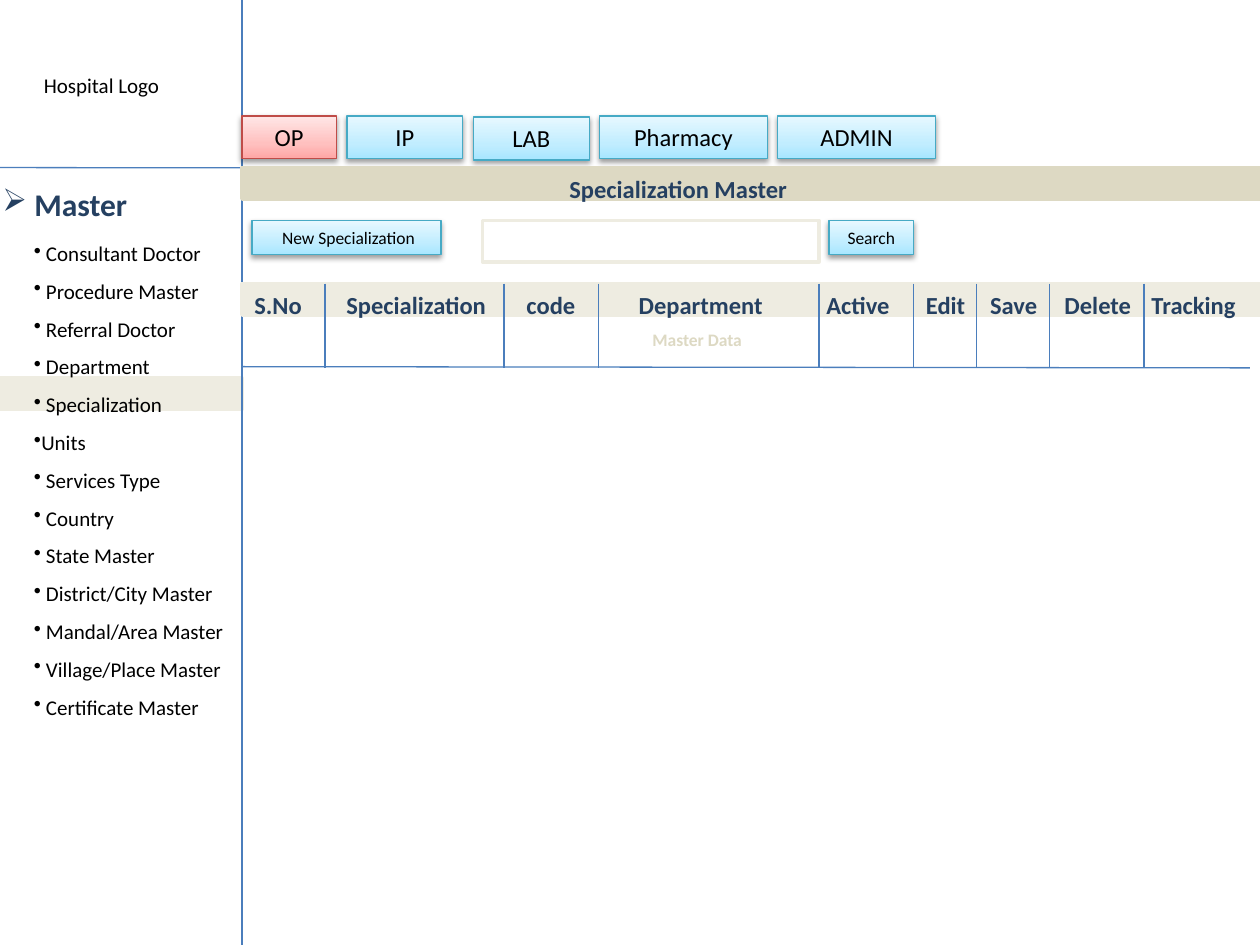
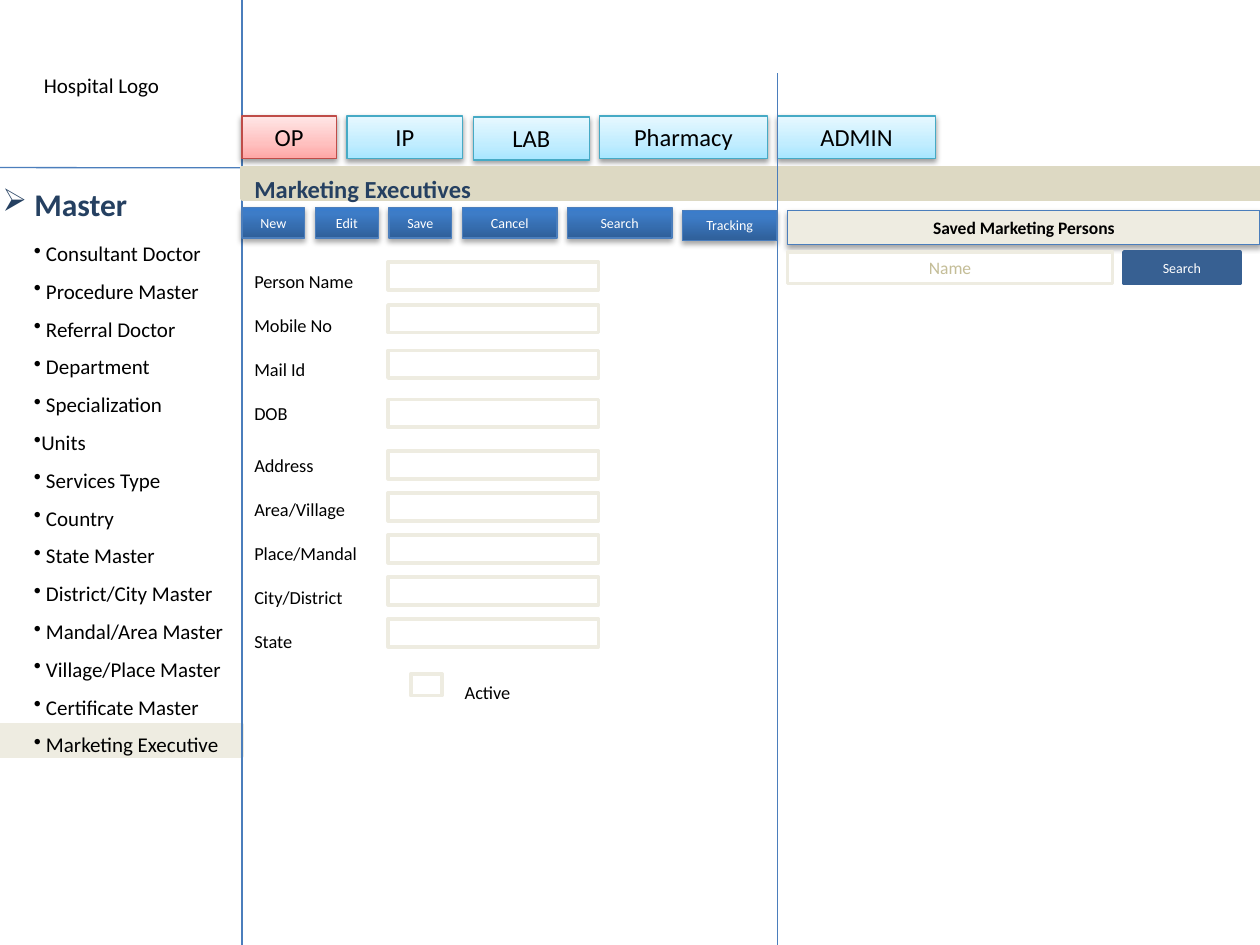
"""Build two hospital master-data screens that share a sidebar and tab bar."""
import lxml.etree
import pptx
import pptx.dml.color
import pptx.enum.shapes
import pptx.enum.text
import pptx.oxml.ns
import pptx.util

Inches = pptx.util.Inches
qn = pptx.oxml.ns.qn

FONT = "Calibri"
BLACK, WHITE, NAVY = "000000", "FFFFFF", "254061"
SAND, CREAM, KHAKI = "DDD9C3", "EEECE1", "C4BD97"
BLUE, DEEP_BLUE = "4B7EBC", "376092"
SIDEBAR = 1.92
GAP = 1 / 12
RED_STYLE = {"stops": ((0, "FFA6A5"), (35, "FFC0BF"), (100, "FFE7E7")),
             "line": "BF4C48", "color": BLACK}
AQUA_STYLE = {"stops": ((0, "A7E6FF"), (35, "C1EDFF"), (100, "E7F8FF")),
              "line": "46AAC5", "color": BLACK}
BLUE_STYLE = {"stops": ((0, "2F5F99"), (80, "3D7CC7"), (100, "3A7CCB")),
              "line": BLUE, "color": WHITE, "opacity": 35, "distance": 1.8}
MENU = [" Consultant Doctor", " Procedure Master", " Referral Doctor", " Department",
        " Specialization", "Units", " Services Type", " Country", " State Master",
        " District/City Master", " Mandal/Area Master", " Village/Place Master",
        " Certificate Master"]
TABS = [("OP", 0.75, 0.92, RED_STYLE), ("IP", 0.92, 0.92, AQUA_STYLE),
        ("LAB", 0.92, 0.93, AQUA_STYLE), ("Pharmacy", 1.33, 0.92, AQUA_STYLE),
        ("ADMIN", 1.25, 0.92, AQUA_STYLE)]
TOOLS = [("New", 0.5, 1.65, BLUE_STYLE), ("Edit", 0.5, 1.65, BLUE_STYLE),
         ("Save", 0.5, 1.65, BLUE_STYLE), ("Cancel", 0.75, 1.65, BLUE_STYLE),
         ("Search", 0.83, 1.65, BLUE_STYLE), ("Tracking", 0.75, 1.67, BLUE_STYLE)]
HEADINGS = [("S.No", 1.92, 0.58), ("Specialization", 2.65, 1.32), ("code", 4.08, 0.59),
            ("Department", 4.97, 1.19), ("Active", 6.46, 0.71), ("Edit", 7.25, 0.52),
            ("Save", 7.76, 0.58), ("Delete", 8.35, 0.73), ("Tracking", 9.04, 0.87)]
COLUMN_EDGES = [2.58, 4, 4.75, 6.5, 7.25, 7.75, 8.33, 9.08]
PERSON_LABELS = ["Person Name", "Mobile No", "Mail Id", "DOB"]
ADDRESS_LABELS = ["Address", "Area/Village", "Place/Mandal", "City/District", "State"]


def rgb(value):
    """Turn a hex string into a colour."""
    return pptx.dml.color.RGBColor.from_string(value)


def write_text(shape, text, size=14, color=BLACK, bold=False, align="LEFT", anchor="TOP",
               wrap=True, grow=True, spacing=None, bullet=None):
    """Fill a shape with one paragraph per line of text."""
    frame = shape.text_frame
    frame.word_wrap = wrap
    frame.vertical_anchor = getattr(pptx.enum.text.MSO_ANCHOR, anchor)
    if grow:
        frame.auto_size = pptx.enum.text.MSO_AUTO_SIZE.SHAPE_TO_FIT_TEXT
    for number, line in enumerate(text.split("\n")):
        paragraph = frame.add_paragraph() if number else frame.paragraphs[0]
        paragraph.alignment = getattr(pptx.enum.text.PP_ALIGN, align)
        if spacing:
            paragraph.line_spacing = spacing
        if bullet:
            properties = paragraph._p.get_or_add_pPr()
            lxml.etree.SubElement(properties, qn("a:buChar"), char=bullet)
        run = paragraph.add_run()
        run.text = line
        run.font.name = FONT
        run.font.size = pptx.util.Pt(size)
        run.font.bold = bold
        run.font.color.rgb = rgb(color)


def add_label(slide, left, top, width, height, text, **text_format):
    """Add an unwrapped text box."""
    box = slide.shapes.add_textbox(Inches(left), Inches(top), Inches(width), Inches(height))
    write_text(box, text, wrap=False, **text_format)


def add_box(slide, left, top, width, height, fill=WHITE, line=CREAM, weight=2):
    """Add a flat rectangle and return it."""
    box = slide.shapes.add_shape(pptx.enum.shapes.MSO_SHAPE.RECTANGLE,
                                 Inches(left), Inches(top), Inches(width), Inches(height))
    box.fill.solid()
    box.fill.fore_color.rgb = rgb(fill)
    box.line.color.rgb = rgb(line)
    box.line.width = pptx.util.Pt(weight)
    box.shadow.inherit = False
    return box


def add_shadow(shape, opacity, distance):
    """Give a shape a soft shadow falling downwards."""
    effects = shape._element.spPr.find(qn("a:effectLst"))
    shadow = lxml.etree.SubElement(
        effects, qn("a:outerShdw"), blurRad=str(pptx.util.Pt(3.1)),
        dist=str(pptx.util.Pt(distance)), dir="5400000", rotWithShape="0")
    color = lxml.etree.SubElement(shadow, qn("a:srgbClr"), val=BLACK)
    lxml.etree.SubElement(color, qn("a:alpha"), val=str(opacity * 1000))


def add_button(slide, left, top, width, height, text, size, stops, line, color,
               opacity=38, distance=1.6):
    """Add a gradient button with a shadow and a centred caption."""
    button = add_box(slide, left, top, width, height, line=line, weight=0.75)
    button.fill.gradient()
    button.fill.gradient_angle = 90
    stop_list = button._element.spPr.find(f".//{qn('a:gsLst')}")
    for stop in list(stop_list):
        stop_list.remove(stop)
    for position, value in stops:
        stop = lxml.etree.SubElement(stop_list, qn("a:gs"), pos=str(position * 1000))
        lxml.etree.SubElement(stop, qn("a:srgbClr"), val=value)
    add_shadow(button, opacity, distance)
    write_text(button, text, size=size, color=color, align="CENTER")


def add_button_row(slide, buttons, height, size):
    """Add equally spaced buttons from the sidebar's edge rightwards."""
    left = SIDEBAR
    for text, width, top, style in buttons:
        add_button(slide, left, top, width, height, text, size, **style)
        left += width + GAP


def add_line(slide, x1, y1, x2, y2):
    """Add a thin blue rule."""
    rule = slide.shapes.add_connector(pptx.enum.shapes.MSO_CONNECTOR.STRAIGHT,
                                      Inches(x1), Inches(y1), Inches(x2), Inches(y2))
    rule.line.color.rgb = rgb(BLUE)
    rule.line.width = pptx.util.Pt(0.75)
    lxml.etree.SubElement(rule._element.spPr, qn("a:effectLst"))


def add_screen(presentation, title, title_left, title_width, menu, selected_top):
    """Add a slide with the sidebar, tabs and title band and return it."""
    slide = presentation.slides.add_slide(presentation.slide_layouts[6])
    add_box(slide, 0, selected_top, SIDEBAR, 0.25, fill=CREAM)
    add_line(slide, 0, 1.33, 10, 1.34)
    add_line(slide, SIDEBAR, 0, SIDEBAR, 7.5)
    add_label(slide, 0.25, 0.53, 1.13, 0.3, "Hospital Logo", size=12)
    add_button_row(slide, TABS, 0.34, 14)
    add_label(slide, -0.08, 1.42, 1.2, 0.4, " Master", size=18, color=NAVY, bold=True,
              bullet="➢")
    add_label(slide, 0.17, 1.76, 1.72, 0.14 + 0.3 * len(menu), "\n".join(menu), size=12,
              spacing=1.5, bullet="•")
    add_box(slide, SIDEBAR, 1.33, 8.08, 0.25, fill=SAND, line=SAND)
    add_label(slide, title_left, 1.33, title_width, 0.34, title, color=NAVY, bold=True)
    return slide


def add_specialization_screen(presentation):
    """Add the list screen for specializations."""
    slide = add_screen(presentation, "Specialization Master", 4.42, 1.95, MENU, 3)
    add_box(slide, 3.83, 1.75, 2.67, 0.33)
    add_button(slide, 6.58, 1.75, 0.67, 0.27, "Search", 10, **AQUA_STYLE)
    add_button(slide, 2, 1.75, 1.5, 0.27, " New Specialization", 10, **AQUA_STYLE)
    add_box(slide, SIDEBAR, 2.25, 8.08, 0.25, fill=CREAM)
    for heading, left, width in HEADINGS:
        add_label(slide, left, 2.25, width, 0.34, heading, color=NAVY, bold=True)
    add_line(slide, SIDEBAR, 2.91, 9.92, 2.92)
    for edge in COLUMN_EDGES:
        add_line(slide, edge, 2.25, edge, 2.92)
    add_label(slide, 5.08, 2.56, 0.92, 0.27, "Master Data", size=10, color=SAND, bold=True)


def add_marketing_screen(presentation):
    """Add the entry form for marketing executives."""
    slide = add_screen(presentation, "Marketing Executives", SIDEBAR, 1.94,
                       MENU + [" Marketing Executive"], 5.75)
    add_button_row(slide, TOOLS, 0.24, 8)
    add_line(slide, 6.17, 0.58, 6.17, 7.5)

    saved_header = add_box(slide, 6.25, 1.67, 3.75, 0.27, fill=CREAM, line=BLUE, weight=0.75)
    add_shadow(saved_header, 35, 1.8)
    write_text(saved_header, "Saved Marketing Persons", size=10, bold=True, align="CENTER")
    name_field = add_box(slide, 6.25, 2, 2.58, 0.25)
    write_text(name_field, "Name", size=10, color=KHAKI, align="CENTER", anchor="MIDDLE",
               grow=False)
    search = add_box(slide, 8.92, 2, 0.92, 0.25, fill=DEEP_BLUE, line=DEEP_BLUE)
    write_text(search, "Search", size=8, color=WHITE, align="CENTER", anchor="MIDDLE",
               grow=False)

    address_tops = [3.58 + row / 3 for row in range(len(ADDRESS_LABELS))]
    for top in [2.08, 2.42, 2.78, 3.17] + address_tops:
        add_box(slide, 3.08, top, 1.67, 0.22)
    add_box(slide, 3.26, 5.35, 0.25, 0.17)
    for left, top, width, height, labels in [
            (SIDEBAR, 1.92, 1, 1.51, PERSON_LABELS),
            (SIDEBAR, 3.38, 1.03, 1.87, ADDRESS_LABELS),
            (3.59, 5.18, 0.57, 0.4, ["Active"])]:
        add_label(slide, left, top, width, height, "\n".join(labels), size=10.5, spacing=2.0)


def main():
    """Build and save the presentation."""
    presentation = pptx.Presentation()
    presentation.slide_width = Inches(10)
    presentation.slide_height = Inches(7.5)
    add_specialization_screen(presentation)
    add_marketing_screen(presentation)
    presentation.save("out.pptx")


if __name__ == "__main__":
    main()
